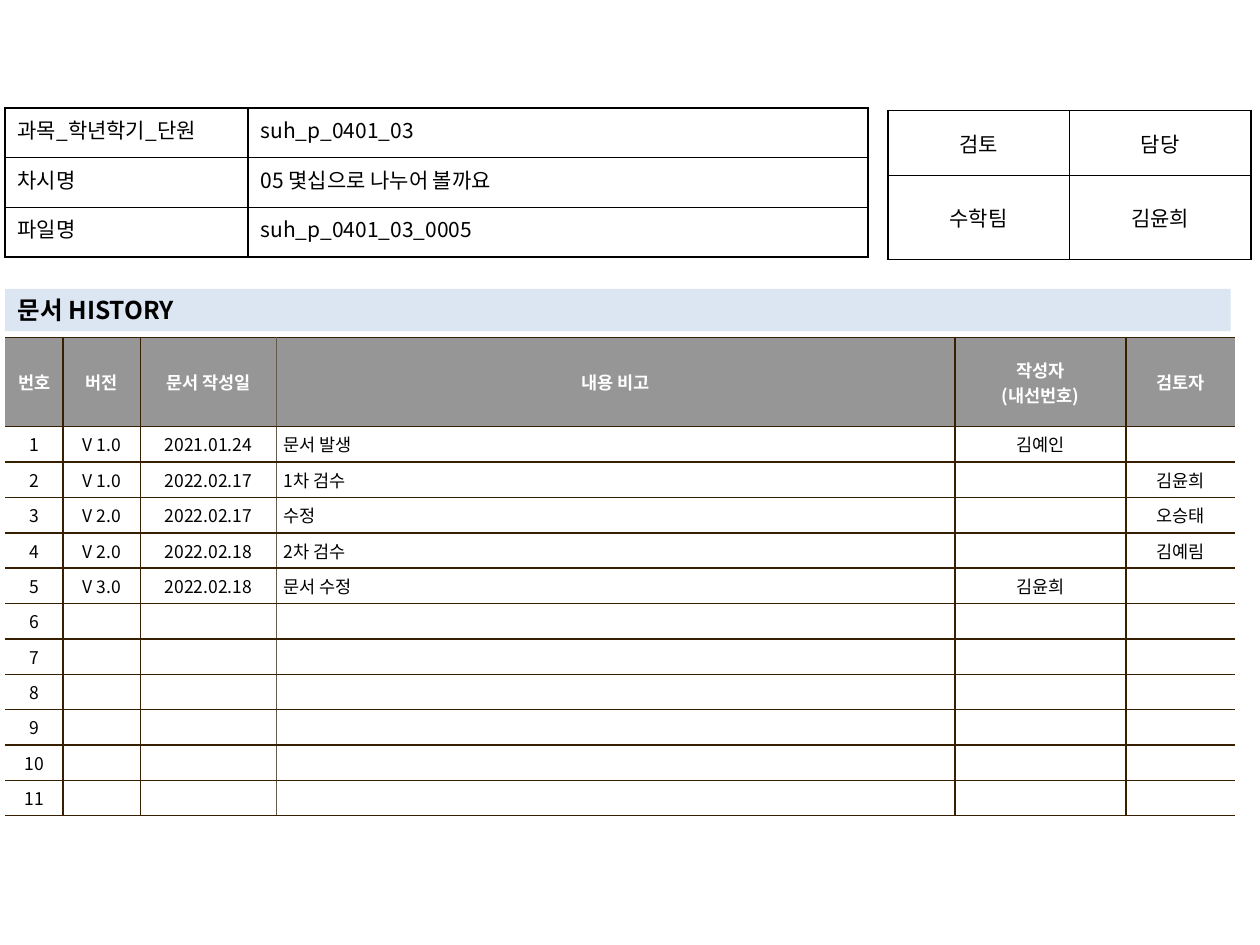
from lxml import etree
from pptx import Presentation
from pptx.dml.color import RGBColor
from pptx.enum import text
from pptx.oxml.ns import qn
from pptx.util import Pt

FONT = "Noto Sans CJK KR"
BLACK, WHITE, BROWN, TAUPE = "000000", "FFFFFF", "362000", "645B4C"
GRAY, PALE_BLUE = "969696", "DCE6F2"
LEFT, CENTER, JUSTIFY = (text.PP_ALIGN.LEFT, text.PP_ALIGN.CENTER,
                         text.PP_ALIGN.JUSTIFY)
TOP, MIDDLE = text.MSO_ANCHOR.TOP, text.MSO_ANCHOR.MIDDLE

INFO = [
    ("과목_학년학기_단원", "suh_p_0401_03"),
    ("차시명", "05 몇십으로 나누어 볼까요"),
    ("파일명", "suh_p_0401_03_0005"),
]
REVIEW = [("검토", "담당"), ("수학팀", "김윤희")]
HEADINGS = ("번호", "버전", "문서 작성일", "내용 비고", "작성자\n(내선번호)", "검토자")
ENTRIES = [
    ("V 1.0", "2021.01.24", "문서 발생", "김예인", ""),
    ("V 1.0", "2022.02.17", "1차 검수", "", "김윤희"),
    ("V 2.0", "2022.02.17", "수정", "", "오승태"),
    ("V 2.0", "2022.02.18", "2차 검수", "", "김예림"),
    ("V 3.0", "2022.02.18", "문서 수정", "김윤희", ""),
]
ENTRY_ROWS = 11


def rgb(color):
    return RGBColor.from_string(color)


def format_text(tf, size, color, bold=False, align=LEFT):
    for p in tf.paragraphs:
        p.alignment = align
        for r in p.runs:
            r.font.size = Pt(size)
            r.font.bold = bold
            r.font.name = FONT
            r.font.color.rgb = rgb(color)
            ea = etree.SubElement(r.font._element, qn("a:ea"))
            ea.set("typeface", FONT)
        if not p.runs:
            # An empty cell needs its own size, or its row grows
            end = etree.SubElement(p._p, qn("a:endParaRPr"))
            end.set("sz", str(size * 100))


def set_borders(cell, colors):
    """Draw the L, R, T and B sides in the given colours; None hides a side."""
    tc_pr = cell._tc.get_or_add_tcPr()
    for side, color in zip("LRTB", colors):
        ln = etree.SubElement(tc_pr, qn(f"a:ln{side}"), w=str(Pt(1)))
        if color:
            solid = etree.SubElement(ln, qn("a:solidFill"))
            etree.SubElement(solid, qn("a:srgbClr"), val=color)
        else:
            etree.SubElement(ln, qn("a:noFill"))


def add_grid(slide, left, top, widths, heights, rows):
    """Add an unstyled table filled with text."""
    frame = slide.shapes.add_table(len(heights), len(widths), Pt(left), Pt(top),
                                   Pt(sum(widths)), Pt(sum(heights)))
    table = frame.table
    table.first_row = table.horz_banding = False
    for column, width in zip(table.columns, widths):
        column.width = Pt(width)
    for row, height, values in zip(table.rows, heights, rows):
        row.height = Pt(height)
        for cell, value in zip(row.cells, values):
            cell.text_frame.text = value
    return table


def add_form(slide, left, top, widths, heights, rows, aligns, anchor):
    table = add_grid(slide, left, top, widths, heights, rows)
    for row in table.rows:
        for cell, align in zip(row.cells, aligns):
            set_borders(cell, [BLACK] * 4)
            cell.fill.background()
            cell.vertical_anchor = anchor
            format_text(cell.text_frame, 12, BLACK, align=align)


def add_history(slide, left, top, widths, heights):
    rows = [HEADINGS]
    for i in range(ENTRY_ROWS):
        entry = ENTRIES[i] if i < len(ENTRIES) else ("",) * 5
        rows.append((str(i + 1), *entry))
    table = add_grid(slide, left, top, widths, heights, rows)
    verticals = [None, BROWN, BROWN, TAUPE, BROWN, BROWN, None]
    for i, row in enumerate(table.rows):
        header = i == 0
        for j, cell in enumerate(row.cells):
            set_borders(cell, (verticals[j], verticals[j + 1], BROWN, BROWN))
            cell.fill.solid()
            cell.fill.fore_color.rgb = rgb(GRAY if header else WHITE)
            cell.vertical_anchor = MIDDLE
            cell.margin_left = cell.margin_right = Pt(4.3)
            cell.margin_top = cell.margin_bottom = Pt(2.9)
            align = LEFT if j == 3 and not header else CENTER
            format_text(cell.text_frame, 10, WHITE if header else BLACK,
                        header, align)


def place_heading(slide, left, top, width, height):
    sp = slide.shapes.title
    sp.left, sp.top, sp.width, sp.height = Pt(left), Pt(top), Pt(width), Pt(height)
    sp.fill.solid()
    sp.fill.fore_color.rgb = rgb(PALE_BLUE)
    tf = sp.text_frame
    tf.text = "문서 HISTORY"
    tf.word_wrap = True
    tf.auto_size = text.MSO_AUTO_SIZE.NONE
    tf.vertical_anchor = MIDDLE
    tf.margin_top = tf.margin_bottom = 0
    format_text(tf, 14, BLACK, bold=True)


def main():
    prs = Presentation()
    prs.slide_width, prs.slide_height = Pt(720), Pt(540)
    slide = prs.slides.add_slide(prs.slide_layouts[5])
    left = 2.9
    place_heading(slide, left, 165, 700.3, 24.2)
    add_history(slide, left, 192.8, [33.2, 44.2, 77.7, 387.8, 97.7, 62.5],
                [51] + [17.8] * ENTRY_ROWS)
    add_form(slide, 507.4, 63.2, [103.7] * 2, [37.1, 47.9], REVIEW,
             [CENTER] * 2, MIDDLE)
    add_form(slide, left, 61.7, [138.8, 354.3], [28.4] * 3, INFO,
             [JUSTIFY, LEFT], TOP)
    prs.save("out.pptx")


if __name__ == "__main__":
    main()
